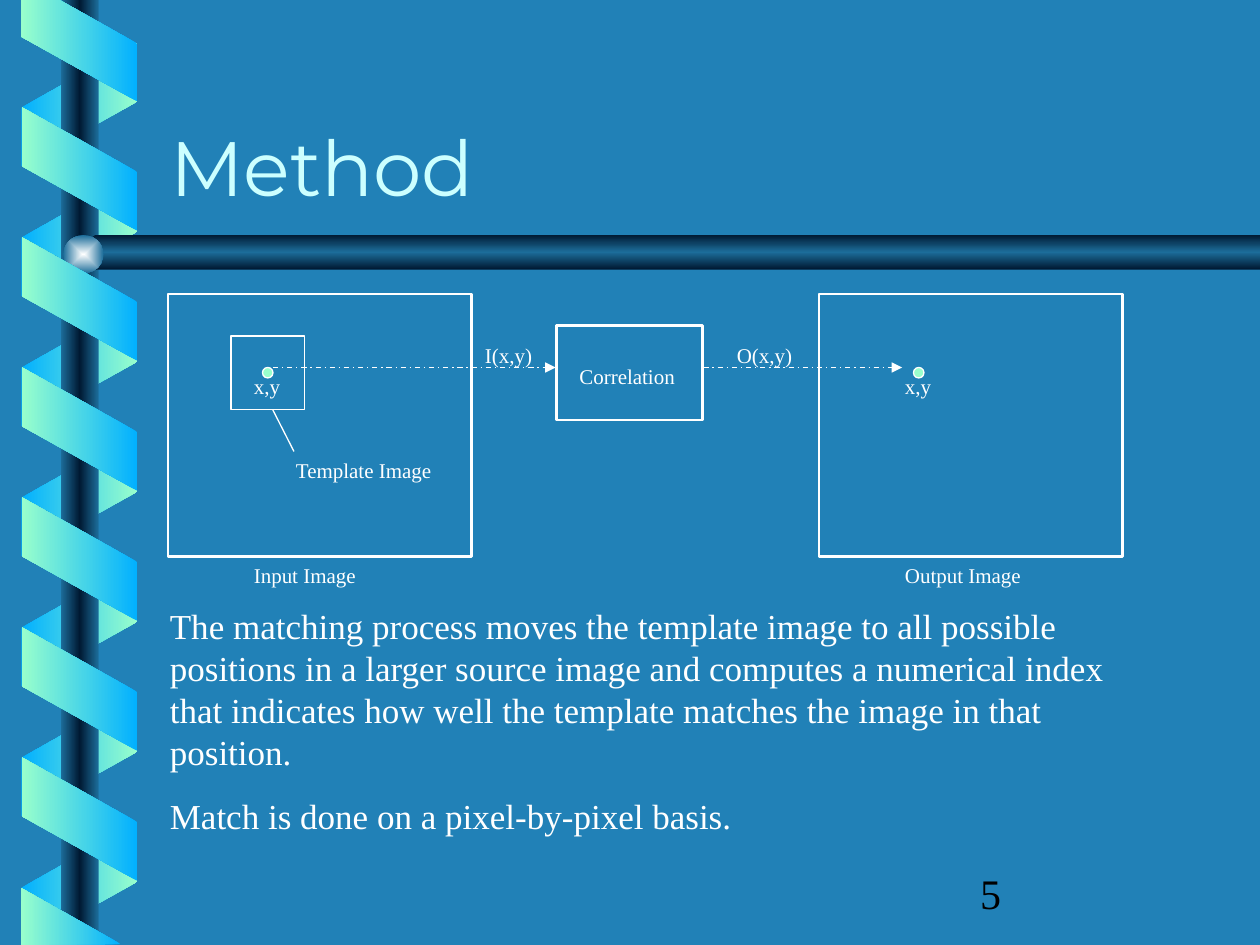
from lxml import etree
from pptx import Presentation
from pptx.dml.color import RGBColor
from pptx.enum.dml import MSO_LINE
from pptx.enum.shapes import MSO_CONNECTOR, MSO_SHAPE
from pptx.enum.text import MSO_ANCHOR, MSO_AUTO_SIZE, PP_ALIGN
from pptx.oxml.ns import qn
from pptx.util import Pt

RECTANGLE, OVAL = MSO_SHAPE.RECTANGLE, MSO_SHAPE.OVAL
PARALLELOGRAM = MSO_SHAPE.PARALLELOGRAM
STRAIGHT, DASH_DOT = MSO_CONNECTOR.STRAIGHT, MSO_LINE.DASH_DOT
LEFT, BOTTOM = PP_ALIGN.LEFT, MSO_ANCHOR.BOTTOM
GROW = MSO_AUTO_SIZE.SHAPE_TO_FIT_TEXT

BLUE, NAVY, STEEL = "2181B7", "001932", "1C6D9A"
SKY, MINT, WHITE = "01B0FF", "99FFCC", "FFFFFF"
RIBBON = [(0, SKY), (100, MINT)]
RIBBON_STEP = 74.3
OUTPUT_SHIFT = 372


def color(hex_string):
    return RGBColor.from_string(hex_string)


def add_xml(parent, tag, **attributes):
    return etree.SubElement(parent, qn(tag), attributes)


def set_format(target, values):
    for name, value in values.items():
        setattr(target, name, value)


class SlideBuilder:
    """Holds the style and the current slide; all lengths are in points."""

    font = "Times New Roman"

    def __init__(self, slide):
        self.slide = slide
        self.shapes = slide.shapes
        slide.background.fill.solid()
        slide.background.fill.fore_color.rgb = color(BLUE)

    def gradient(self, shape, stops, angle=None):
        """Fill from stops in percent; without an angle it spreads from the centre."""
        shape.fill.gradient()
        gradient = shape._element.spPr.find(qn("a:gradFill"))
        for child in list(gradient):
            gradient.remove(child)
        gradient.set("rotWithShape", "0")
        stop_list = add_xml(gradient, "a:gsLst")
        for position, hex_string in stops:
            stop = add_xml(stop_list, "a:gs", pos=str(position * 1000))
            add_xml(stop, "a:srgbClr", val=hex_string)
        if angle is None:
            center = add_xml(gradient, "a:path", path="rect")
            add_xml(center, "a:fillToRect", l="50000", t="50000", r="50000", b="50000")
        else:
            add_xml(gradient, "a:lin", ang=str(angle * 60000), scaled="0")

    def shape(self, kind, left, top, width, height, fill=None, line=None):
        shape = self.shapes.add_shape(kind, Pt(left), Pt(top), Pt(width), Pt(height))
        shape.shadow.inherit = False
        shape.fill.background()
        if fill:
            shape.fill.solid()
            shape.fill.fore_color.rgb = color(fill)
        if line:
            shape.line.color.rgb = color(WHITE)
            shape.line.width = Pt(line)
        else:
            shape.line.fill.background()
        return shape

    def ribbon(self, top, rotation, flipped=False):
        shape = self.shape(PARALLELOGRAM, 10.1, top, 70.6, 66.2)
        shape.adjustments[0] = 0.56
        shape.rotation = rotation
        if flipped:
            shape._element.spPr.get_or_add_xfrm().set("flipH", "1")
        self.gradient(shape, RIBBON, 180)

    def outline(self, points, stops, angle):
        start, *others = [(Pt(x), Pt(y)) for x, y in points]
        builder = self.shapes.build_freeform(*start)
        builder.add_line_segments(others, close=True)
        shape = builder.convert_to_shape()
        shape.shadow.inherit = False
        shape.line.fill.background()
        self.gradient(shape, stops, angle)

    def line(self, start, end, arrow=False):
        connector = self.shapes.add_connector(STRAIGHT, *map(Pt, start + end))
        connector.line.color.rgb = color(WHITE)
        connector.line.width = Pt(0.75)
        if arrow:
            connector.line.dash_style = DASH_DOT
            line_format = connector._element.spPr.find(qn("a:ln"))
            add_xml(line_format, "a:tailEnd", type="triangle")
        add_xml(connector._element.spPr, "a:effectLst")

    def fill_frame(self, frame, texts, size, fill, font, before=0):
        frame.word_wrap = True
        for index, text in enumerate(texts):
            paragraph = frame.add_paragraph() if index else frame.paragraphs[0]
            set_format(paragraph, {"alignment": LEFT, "space_before": Pt(before)})
            run = paragraph.add_run()
            run.text = text
            set_format(run.font, {"size": Pt(size), "name": font})
            run.font.color.rgb = color(fill)

    def text(self, texts, left, top, width, height, size=12, fill=WHITE, before=7.5):
        box = self.shapes.add_textbox(Pt(left), Pt(top), Pt(width), Pt(height))
        self.fill_frame(box.text_frame, texts, size, fill, self.font, before)
        box.text_frame.auto_size = GROW

    def title(self, text, left, top, width, height):
        title = self.shapes.title
        set_format(title, {"left": Pt(left), "top": Pt(top), "width": Pt(width), "height": Pt(height)})
        title.text_frame.vertical_anchor = BOTTOM
        self.fill_frame(title.text_frame, [text], 44, "CCFFFF", "Montserrat")

    def image_frame(self, left, caption, caption_width):
        """Draw an image outline with its marked pixel and its caption."""
        self.shape(RECTANGLE, left, 168, 173.5, 150, line=1.5)
        self.shape(OVAL, left + 54, 210, 6, 6, fill=MINT, line=0.75)
        self.text(["x,y"], left + 42, 210, 29.5, 21.6)
        self.text([caption], left + 42, 318, caption_width, 21.6)


def draw_decoration(builder):
    for index in range(7):
        builder.ribbon(26.6 + index * RIBBON_STEP, 90, flipped=True)
    pole = builder.shape(RECTANGLE, 34.8, 0, 21.6, 540)
    builder.gradient(pole, [(0, STEEL), (50, NAVY), (100, STEEL)], 180)
    bar = [(720, 134.2), (54.7, 134.2), (43.2, 144), (54.7, 154), (720, 154)]
    builder.outline(bar, [(0, NAVY), (50, STEEL), (100, NAVY)], 90)
    knob = builder.shape(OVAL, 36.2, 134.4, 23, 21.8)
    builder.gradient(knob, [(0, "FEFFFF"), (100, STEEL)])
    for index in range(6):
        builder.ribbon(63.4 + index * RIBBON_STEP, 270)
    ribbon_start = [(12.2, 0), (12.2, 21), (78.6, 58), (78.6, 25), (34, 0)]
    ribbon_end = [(69, 539.5), (12.2, 507.5), (12, 540)]
    for points in (ribbon_start, ribbon_end):
        builder.outline(points, RIBBON, 180)


def draw_diagram(builder):
    builder.image_frame(96, "Input Image", 78)
    builder.image_frame(96 + OUTPUT_SHIFT, "Output Image", 84)
    builder.shape(RECTANGLE, 132, 192, 42, 42, line=0.75)
    builder.shape(RECTANGLE, 318, 186, 83.5, 54, line=1.5)
    for label, left, top, width in (
        ("Template Image", 162, 258, 96),
        ("I(x,y)", 270, 192, 47.5),
        ("O(x,y)", 414, 192, 47.5),
        ("Correlation", 324, 204, 72),
    ):
        builder.text([label], left, top, width, 21.6)
    builder.line((168, 258), (155.8, 234))
    builder.line((156, 210), (317.5, 210), arrow=True)
    builder.line((402, 210), (515.5, 210), arrow=True)


def main():
    presentation = Presentation()
    set_format(presentation, {"slide_width": Pt(720), "slide_height": Pt(540)})
    builder = SlideBuilder(presentation.slides.add_slide(presentation.slide_layouts[5]))
    draw_decoration(builder)
    builder.title("Method", 90, 64, 612, 60.5)
    draw_diagram(builder)
    builder.text(
        [
            "The matching process moves the template image to all possible positions in a larger "
            "source image and computes a numerical index that indicates how well the template "
            "matches the image in that position.",
            "Match is done on a pixel-by-pixel basis.",
        ],
        90, 342, 576, 139.7, size=20, before=12.5,
    )
    builder.text(["5"], 553, 492, 150, 36, size=24, fill="000000", before=0)
    presentation.save("out.pptx")


if __name__ == "__main__":
    main()
